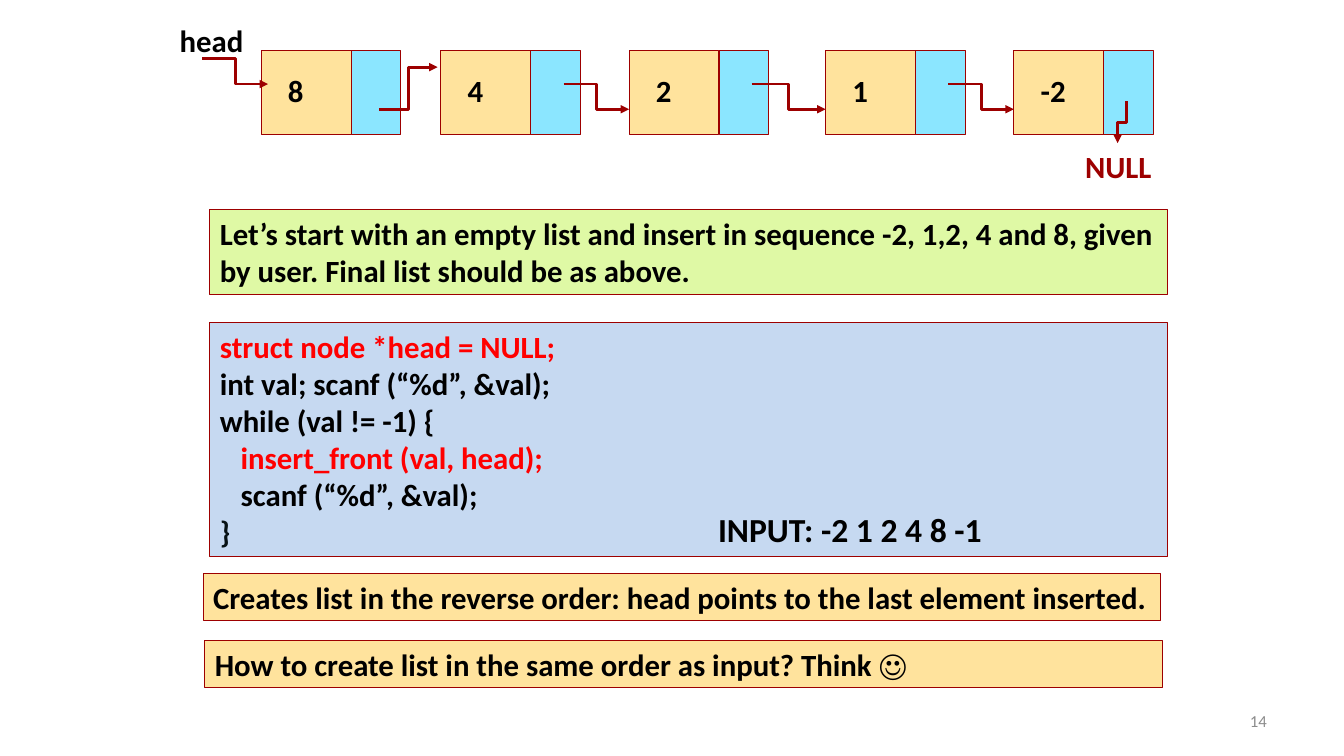
from lxml import etree
from pptx import Presentation
from pptx.dml.color import RGBColor
from pptx.enum.shapes import MSO_CONNECTOR, MSO_SHAPE
from pptx.enum.text import MSO_ANCHOR, PP_ALIGN
from pptx.oxml.ns import qn
from pptx.util import Inches, Pt

RECT = MSO_SHAPE.RECTANGLE
ELBOW = MSO_CONNECTOR.ELBOW
TOP, MIDDLE = MSO_ANCHOR.TOP, MSO_ANCHOR.MIDDLE
LEFT, RIGHT = PP_ALIGN.LEFT, PP_ALIGN.RIGHT

BLACK = RGBColor(0, 0, 0)
RED = RGBColor(0xFF, 0, 0)
MAROON = RGBColor(0x9D, 0, 0)
GREY = RGBColor(0x8C, 0x8C, 0x8C)
INK = RGBColor(0x07, 0x12, 0x15)
SAND = RGBColor(0xFF, 0xE3, 0x9D)
SKY = RGBColor(0x8B, 0xE6, 0xFF)
LIME = RGBColor(0xDF, 0xF9, 0xA5)
PALE_BLUE = RGBColor(0xC6, 0xD9, 0xF1)

COLS, ROWS = 160, 90
NODE_TOP, NODE_H = 6, 10
DATA_W, LINK_W = 10.7, 5.9
LINE_H = 5.6
BOX_W = 114


class Deck:
    font = "Calibri"
    size = 22

    def __init__(self):
        self.prs = Presentation()
        self.prs.slide_width = Inches(13.33)
        self.prs.slide_height = Inches(7.5)
        self.s = self.prs.slides.add_slide(self.prs.slide_layouts[6])

    def x(self, cols):
        return round(self.prs.slide_width * cols / COLS)

    def y(self, rows):
        return round(self.prs.slide_height * rows / ROWS)

    def area(self, left, top, width, height):
        return self.x(left), self.y(top), self.x(width), self.y(height)

    def set_text(self, sp, lines, size=None, bold=True, align=LEFT,
                 anchor=TOP, wrap=True):
        tf = sp.text_frame
        tf.word_wrap = wrap
        tf.vertical_anchor = anchor
        for i, (text, color) in enumerate(lines):
            p = tf.add_paragraph() if i else tf.paragraphs[0]
            p.alignment = align
            r = p.add_run()
            r.text = text
            r.font.name = self.font
            r.font.size = Pt(size or self.size)
            r.font.bold = bold
            r.font.color.rgb = color

    def box(self, left, top, width, height, fill, lines=(), outline=True,
            **style):
        sp = self.s.shapes.add_shape(RECT, *self.area(left, top, width, height))
        sp.shadow.inherit = False
        sp.fill.solid()
        sp.fill.fore_color.rgb = fill
        if outline:
            sp.line.color.rgb = MAROON
            sp.line.width = Pt(0.75)
        else:
            sp.line.fill.background()
        self.set_text(sp, lines, **style)

    def label(self, left, top, width, height, text, color=BLACK, **style):
        sp = self.s.shapes.add_textbox(*self.area(left, top, width, height))
        self.set_text(sp, [(text, color)], **style)

    def arrow(self, x1, y1, x2, y2, quarter_turns=0):
        c = self.s.shapes.add_connector(
            ELBOW, self.x(x1), self.y(y1), self.x(x2), self.y(y2))
        c.line.color.rgb = MAROON
        c.line.width = Pt(2)
        props = c._element.spPr
        etree.SubElement(props.find(qn("a:ln")), qn("a:tailEnd"), type="triangle")
        etree.SubElement(props, qn("a:effectLst"))
        if quarter_turns:
            props.find(qn("a:xfrm")).set("rot", str(quarter_turns * 5400000))

    def node(self, left, value):
        self.box(left, NODE_TOP, DATA_W, NODE_H, SAND)
        self.box(left + DATA_W, NODE_TOP, LINK_W, NODE_H, SKY)
        self.label(left + 2, 8, 4.6 if len(value) == 1 else 8.5, LINE_H, value)


def main():
    d = Deck()
    nodes = [(31.1, "8"), (52.5, "4"), (74.9, "2"), (98.3, "1"), (120.7, "-2")]
    for left, value in nodes:
        d.node(left, value)
    for (left, _), (following, _) in zip(nodes[1:], nodes[2:]):
        d.arrow(left + 14.6, 10, following, 13)
    d.arrow(24.1, 7, 31.9, 10)
    d.arrow(45.1, 13, 52.1, 8)
    d.arrow(131.1, 14, 136.1, 15.1, quarter_turns=1)
    d.label(20.2, 2, 10.8, LINE_H, "head")
    d.label(128, 17, 10.3, LINE_H, "NULL", MAROON, wrap=False)

    d.box(25, 25, BOX_W, 10.1, LIME, [
        ("Let’s start with an empty list and insert in sequence -2, 1,2, 4 "
         "and 8, given by user. Final list should be as above.", BLACK)])
    d.box(25, 38.4, BOX_W, 27.9, PALE_BLUE, [
        ("struct node *head = NULL;", RED),
        ("int val; scanf (“%d”, &val);", BLACK),
        ("while (val != -1) {", BLACK),
        ("   insert_front (val, head);", RED),
        ("   scanf (“%d”, &val);", BLACK),
        ("}", INK)])
    d.box(24.2, 68.3, BOX_W, LINE_H, SAND, [
        ("Creates list in the reverse order: head points to the last element "
         "inserted.", BLACK)])
    d.box(84.3, 60, 34, 6, PALE_BLUE, [("INPUT: -2 1 2 4 8 -1", BLACK)],
          outline=False, size=24, wrap=False)
    d.box(24.4, 76.3, BOX_W, LINE_H, SAND, [
        ("How to create list in the same order as input? Think ☺", BLACK)])
    d.label(114.7, 83.4, 37.3, 4.8, "14", GREY, size=12, bold=False,
            align=RIGHT, anchor=MIDDLE)
    d.prs.save("out.pptx")


if __name__ == "__main__":
    main()
